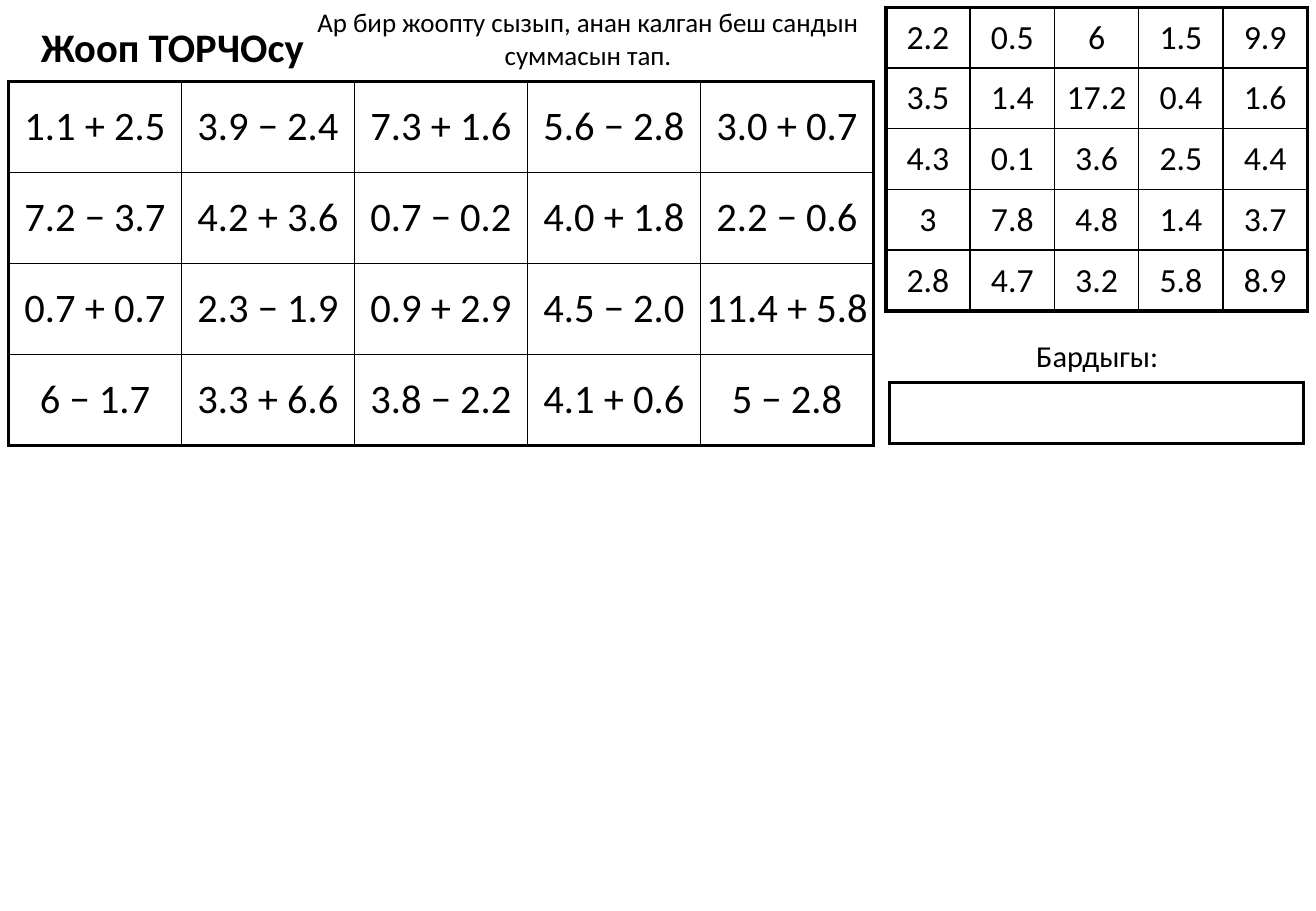
from dataclasses import dataclass

from lxml.etree import SubElement
from pptx import Presentation
from pptx.dml.color import RGBColor
from pptx.enum.text import MSO_ANCHOR, PP_ALIGN as Align
from pptx.oxml import parse_xml
from pptx.oxml.ns import nsdecls, qn
from pptx.util import Inches, Pt


@dataclass(frozen=True)
class Theme:
    """Colours, font, type sizes and line widths of the worksheet."""
    ink: str = "000000"
    paper: str = "FFFFFF"
    font: str = "Calibri"
    title: int = 24
    problem: int = 24
    answer: int = 20
    label: int = 18
    instruction: int = 16
    outer_line: float = 2.25
    inner_line: float = 1


THEME = Theme()

PROBLEMS = [
    ["1.1 + 2.5", "3.9 − 2.4", "7.3 + 1.6", "5.6 − 2.8", "3.0 + 0.7"],
    ["7.2 − 3.7", "4.2 + 3.6", "0.7 − 0.2", "4.0 + 1.8", "2.2 − 0.6"],
    ["0.7 + 0.7", "2.3 − 1.9", "0.9 + 2.9", "4.5 − 2.0", "11.4 + 5.8"],
    ["6 − 1.7", "3.3 + 6.6", "3.8 − 2.2", "4.1 + 0.6", "5 − 2.8"],
]
ANSWERS = [
    ["2.2", "0.5", "6", "1.5", "9.9"],
    ["3.5", "1.4", "17.2", "0.4", "1.6"],
    ["4.3", "0.1", "3.6", "2.5", "4.4"],
    ["3", "7.8", "4.8", "1.4", "3.7"],
    ["2.8", "4.7", "3.2", "5.8", "8.9"],
]


def write_text(frame, text, size, bold=False, align=Align.CENTER):
    """Write one formatted paragraph into a text frame."""
    paragraph = frame.paragraphs[0]
    paragraph.alignment = align
    paragraph.font.size = Pt(size)
    if text:
        run = paragraph.add_run()
        run.text = text
        run.font.name = THEME.font
        run.font.size = Pt(size)
        run.font.bold = bold
        run.font.color.rgb = RGBColor.from_string(THEME.ink)


def add_label(slide, box, text, **text_format):
    """Add a wrapping text box."""
    shape = slide.shapes.add_textbox(*map(Inches, box))
    shape.text_frame.word_wrap = True
    write_text(shape.text_frame, text, **text_format)


def set_borders(cell, outer_sides):
    """Draw the four borders of a cell, heavier on the outer sides."""
    properties = cell._tc.get_or_add_tcPr()
    for position, side in enumerate("LRTB"):
        width = THEME.outer_line if side in outer_sides else THEME.inner_line
        line = parse_xml(f'<a:ln{side} {nsdecls("a")} w="{Pt(width)}"/>')
        fill = SubElement(line, qn("a:solidFill"))
        SubElement(fill, qn("a:srgbClr"), val=THEME.ink)
        properties.insert(position, line)


def add_grid(slide, box, rows, size):
    """Fill the box with an evenly divided, framed table."""
    left, top, width, height = box
    row_count, column_count = len(rows), len(rows[0])
    table = slide.shapes.add_table(row_count, column_count, *map(Inches, box)).table
    table.first_row = table.horz_banding = False
    for row in table.rows:
        row.height = Inches(height / row_count)
    for column in table.columns:
        column.width = Inches(width / column_count)
    for row_index, row in enumerate(rows):
        for column_index, text in enumerate(row):
            cell = table.cell(row_index, column_index)
            cell.margin_left = cell.margin_right = Inches(0)
            cell.margin_top = cell.margin_bottom = Inches(0)
            cell.vertical_anchor = MSO_ANCHOR.MIDDLE
            cell.fill.solid()
            cell.fill.fore_color.rgb = RGBColor.from_string(THEME.paper)
            edges = {
                "L": column_index == 0,
                "R": column_index == column_count - 1,
                "T": row_index == 0,
                "B": row_index == row_count - 1,
            }
            set_borders(cell, [side for side, is_outer in edges.items() if is_outer])
            write_text(cell.text_frame, text, size)


def add_problem_region(slide, left, top):
    """Place the title, the instruction and the problem grid."""
    add_grid(slide, (left, top + 0.67, 7.12, 3), PROBLEMS, THEME.problem)
    add_label(slide, (left + 2.24, top, 5.06, 0.64),
              "Ар бир жоопту сызып, анан калган беш сандын суммасын тап.",
              size=THEME.instruction)
    add_label(slide, (left + 0.17, top + 0.13, 4.62, 0.5), "Жооп ТОРЧОсу",
              size=THEME.title, bold=True, align=Align.LEFT)


def add_answer_region(slide, left, top):
    """Place the answer grid above the labelled box for the total."""
    add_grid(slide, (left, top, 3.47, 2.5), ANSWERS, THEME.answer)
    add_grid(slide, (left + 0.03, top + 3.09, 3.41, 0.5), [[""]], THEME.label)
    add_label(slide, (left + 0.08, top + 2.67, 3.32, 0.4), "Бардыгы:",
              size=THEME.label)


def main():
    """Build and save the worksheet."""
    presentation = Presentation()
    presentation.slide_width = Inches(10.83)
    presentation.slide_height = Inches(7.5)
    slide = presentation.slides.add_slide(presentation.slide_layouts[6])
    add_answer_region(slide, 7.29, 0.06)
    add_problem_region(slide, 0.07, 0)
    presentation.save("out.pptx")


if __name__ == "__main__":
    main()
